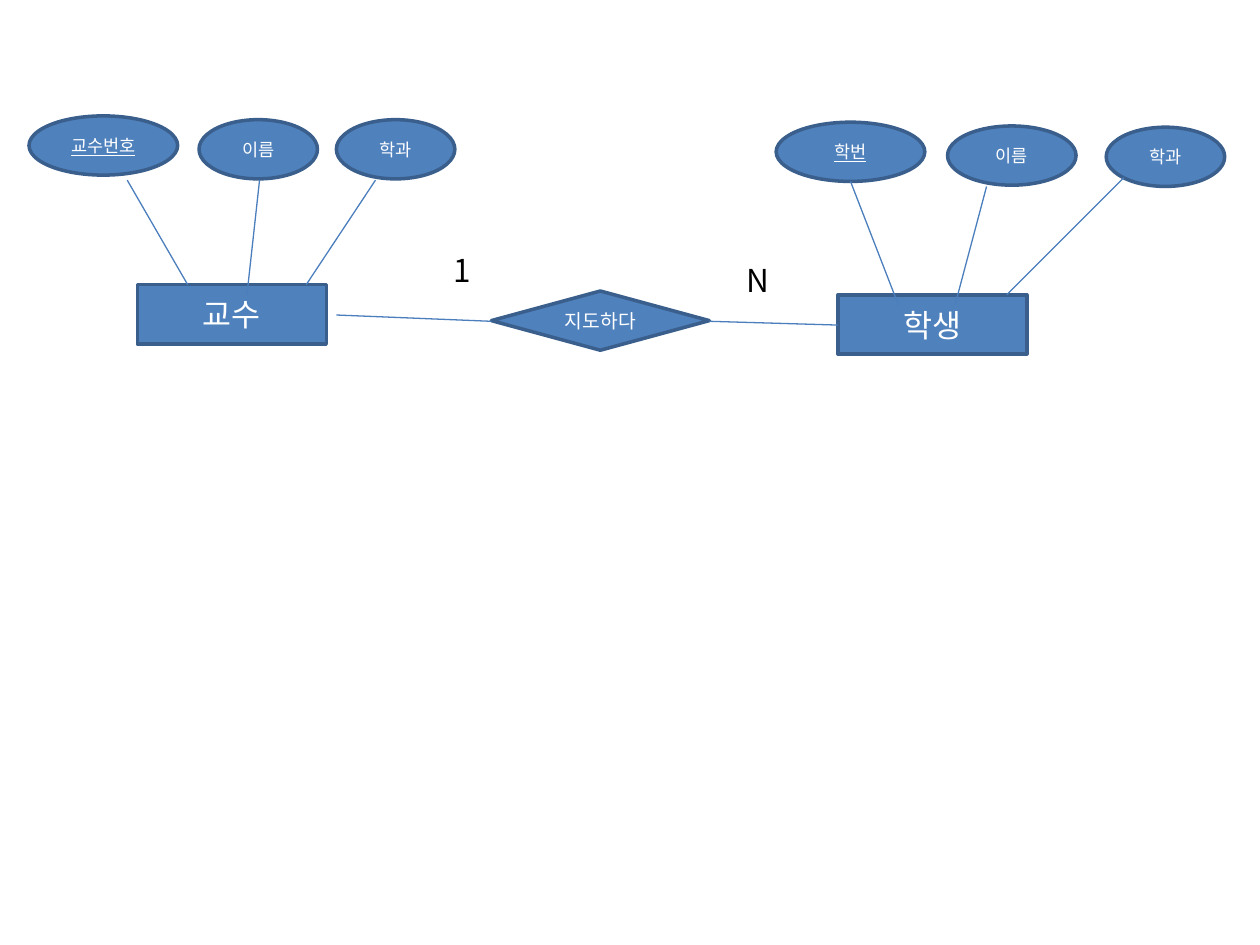
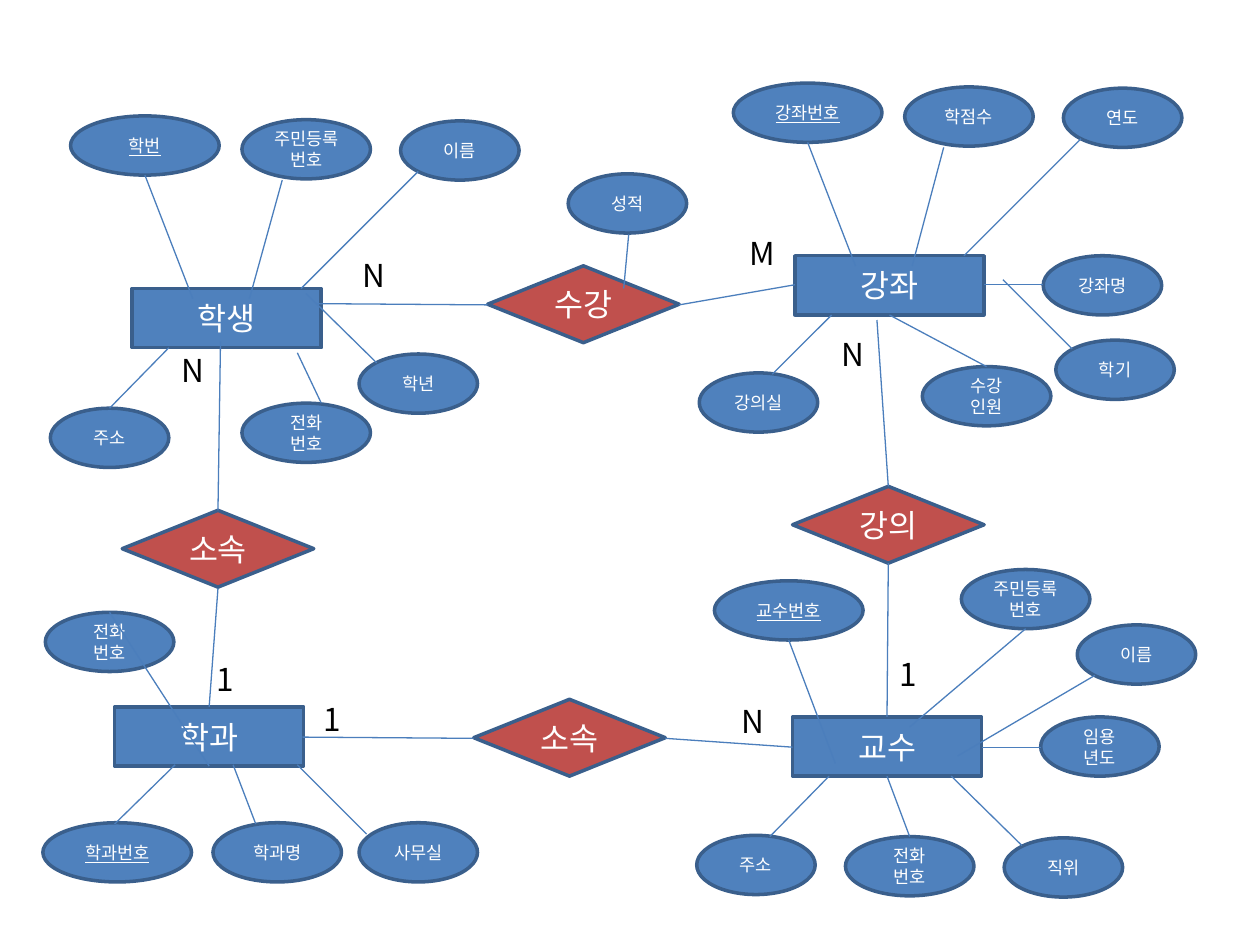
from pptx import Presentation
from pptx.dml.color import RGBColor
from pptx.enum.shapes import MSO_SHAPE as SHAPE, MSO_CONNECTOR as CONN
from pptx.enum.text import MSO_ANCHOR as ANCHOR, MSO_AUTO_SIZE as AUTO, PP_ALIGN as ALIGN
from pptx.oxml.ns import qn
from pptx.util import Pt
from lxml import etree

PX = 9144  # 100 px to the inch
FONT = "Noto Sans CJK KR"
BLUE, RED, OUTLINE, LINK = "4F81BD", "C0504D", "3A5F8C", "4B7EBC"
WHITE, BLACK = "FFFFFF", "000000"

# kind: shape, width, height, fill, text size
KINDS = {
    "entity": (SHAPE.RECTANGLE, 150, 47, BLUE, 18),
    "key": (SHAPE.OVAL, 118, 47, BLUE, 10),
    "wide": (SHAPE.OVAL, 102, 47, BLUE, 10),
    "attr": (SHAPE.OVAL, 94, 47, BLUE, 10),
    "relation": (SHAPE.DIAMOND, 152, 61, RED, 18),
    "verb": (SHAPE.DIAMOND, 173, 47, BLUE, 11),
}

# Advising diagram: professor and student
advising = {
    "nodes": [
        ("entity", "교수", 109, 226),
        ("key", "교수번호", 23, 92),
        ("attr", "이름", 158, 95),
        ("attr", "학과", 267, 95),
        ("entity", "학생", 665, 234),
        ("key", "학번", 616, 97),
        ("wide", "이름", 752, 100),
        ("attr", "학과", 878, 101),
        ("verb", "지도하다", 390, 231),
    ],
    "links": [
        (101, 143, 149, 226), (206, 143, 196, 234), (298, 143, 243, 226),
        (675, 144, 713, 242), (783, 148, 758, 242), (892, 141, 799, 234),
        (267, 250, 390, 255), (563, 255, 665, 258),
    ],
    "counts": [("1", 350, 194), ("N", 583, 202)],
}

# University diagram: student, course, department, professor
university = {
    "nodes": [
        ("entity", "학생", 105, 229),
        ("key", "학번", 56, 92),
        ("wide", "주민등록번호", 192, 95),
        ("attr", "이름", 318, 96),
        ("attr", "주소", 40, 324),
        ("wide", "전화\n번호", 192, 320),
        ("attr", "학년", 285, 281),
        ("entity", "강좌", 631, 203),
        ("key", "강좌번호", 582, 66),
        ("wide", "학점수", 718, 69),
        ("attr", "연도", 844, 70),
        ("attr", "강좌명", 828, 203),
        ("attr", "학기", 838, 270),
        ("wide", "수강\n인원", 732, 291),
        ("attr", "강의실", 555, 296),
        ("entity", "학과", 91, 561),
        ("wide", "전화\n번호", 36, 486),
        ("key", "학과번호", 34, 653),
        ("wide", "학과명", 169, 653),
        ("attr", "사무실", 285, 653),
        ("entity", "교수", 629, 569),
        ("key", "교수번호", 567, 461),
        ("wide", "주민등록번호", 763, 452),
        ("attr", "이름", 855, 496),
        ("attr", "임용\n년도", 826, 569),
        ("attr", "주소", 553, 663),
        ("wide", "전화\n번호", 671, 664),
        ("attr", "직위", 797, 665),
        ("relation", "수강", 387, 211),
        ("attr", "성적", 451, 138),
        ("relation", "소속", 97, 405),
        ("relation", "소속", 376, 555),
        ("relation", "강의", 629, 386),
    ],
    "links": [
        # student
        (115, 139, 153, 237), (224, 143, 198, 237), (332, 136, 239, 229),
        (87, 324, 134, 276), (255, 320, 236, 280), (299, 288, 243, 233),
        # course
        (641, 113, 679, 211), (749, 117, 724, 211), (858, 110, 765, 203),
        (613, 297, 660, 250), (783, 291, 706, 250), (851, 277, 796, 222),
        (781, 226, 828, 226),
        # department
        (87, 486, 166, 608), (91, 654, 139, 607), (203, 654, 185, 607),
        (291, 662, 236, 607),
        # professor
        (626, 508, 663, 606), (814, 499, 722, 577), (869, 536, 760, 600),
        (611, 664, 658, 616), (722, 664, 704, 616), (811, 671, 755, 616),
        (779, 593, 826, 593),
        # relations
        (251, 241, 387, 242), (539, 242, 631, 226), (499, 186, 495, 229),
        (175, 271, 173, 405), (173, 467, 166, 561),
        (240, 585, 376, 586), (528, 586, 629, 593),
        (696, 254, 705, 386), (705, 447, 704, 569),
    ],
    "counts": [
        ("N", 278, 198), ("M", 585, 181), ("N", 134, 274), ("1", 162, 519),
        ("1", 247, 551), ("N", 579, 552), ("N", 658, 261), ("1", 704, 515),
    ],
}


def rgb(color):
    return RGBColor.from_string(color)


def write(tf, text, size, color, align, underline=None):
    tf.word_wrap = True
    tf.text = text
    for p in tf.paragraphs:
        p.alignment = align
        for r in p.runs:
            r.font.name = FONT
            r.font.size = Pt(size)
            r.font.color.rgb = rgb(color)
            r.font.underline = underline
            ea = etree.SubElement(r._r.get_or_add_rPr(), qn("a:ea"))
            ea.set("typeface", FONT)


prs = Presentation()
prs.slide_width, prs.slide_height = 1000 * PX, 750 * PX

for diagram in (advising, university):
    s = prs.slides.add_slide(prs.slide_layouts[6])

    # Entities, attributes and relations
    for kind, label, x, y in diagram["nodes"]:
        shape, w, h, fill, size = KINDS[kind]
        sp = s.shapes.add_shape(shape, x * PX, y * PX, w * PX, h * PX)
        sp.shadow.inherit = False
        sp.fill.solid()
        sp.fill.fore_color.rgb = rgb(fill)
        sp.line.color.rgb = rgb(OUTLINE)
        sp.line.width = Pt(2)
        sp.text_frame.vertical_anchor = ANCHOR.MIDDLE
        write(sp.text_frame, label, size, WHITE, ALIGN.CENTER, True if kind == "key" else None)

    # Links
    for x1, y1, x2, y2 in diagram["links"]:
        cn = s.shapes.add_connector(CONN.STRAIGHT, x1 * PX, y1 * PX, x2 * PX, y2 * PX)
        cn.line.color.rgb = rgb(LINK)
        cn.line.width = Pt(0.75)
        etree.SubElement(cn._element.spPr, qn("a:effectLst"))

    # Cardinalities
    for count, x, y in diagram["counts"]:
        tb = s.shapes.add_textbox(x * PX, y * PX, 31 * PX, 40 * PX)
        tb.text_frame.auto_size = AUTO.SHAPE_TO_FIT_TEXT
        write(tb.text_frame, count, 18, BLACK, ALIGN.LEFT)

prs.save("out.pptx")
